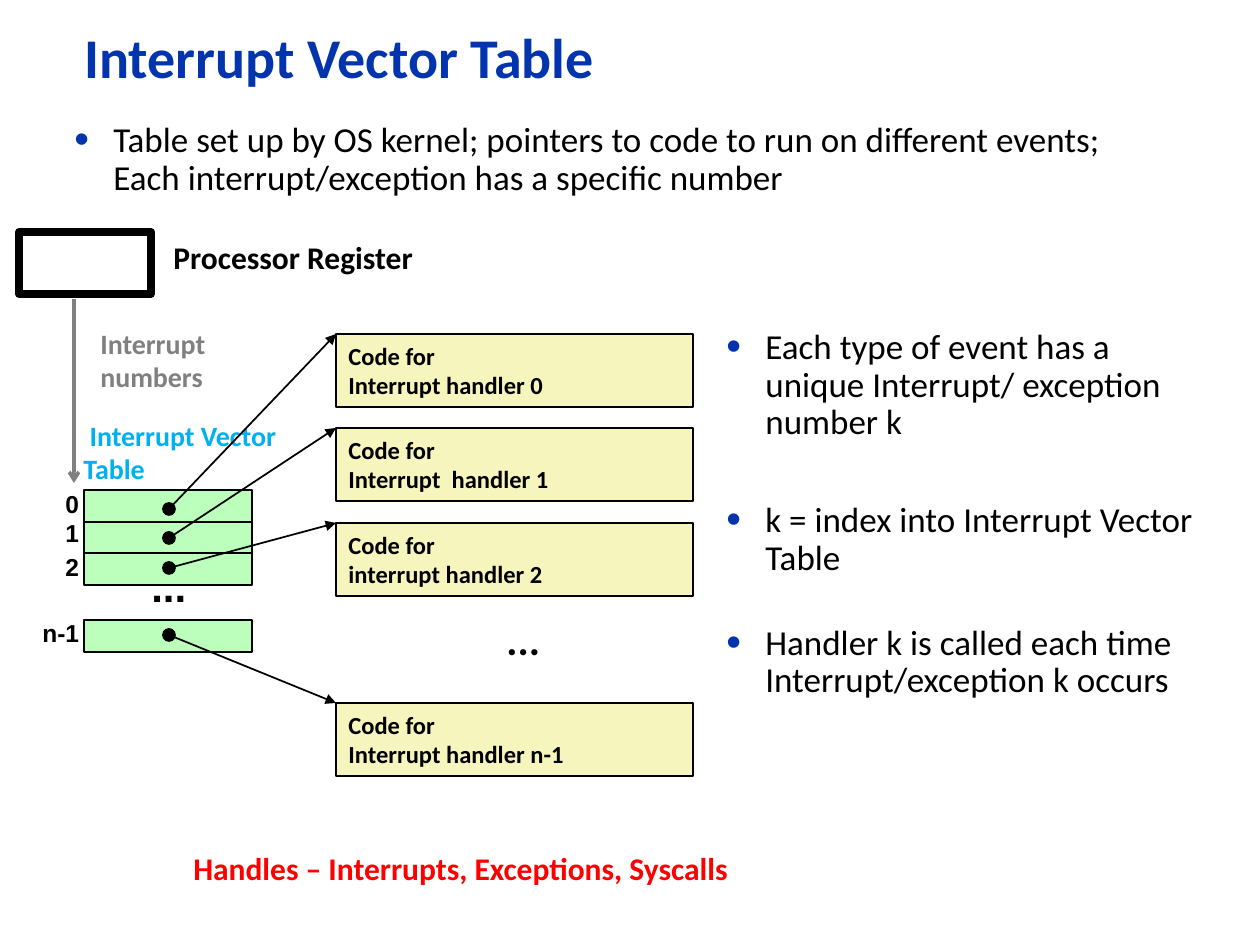
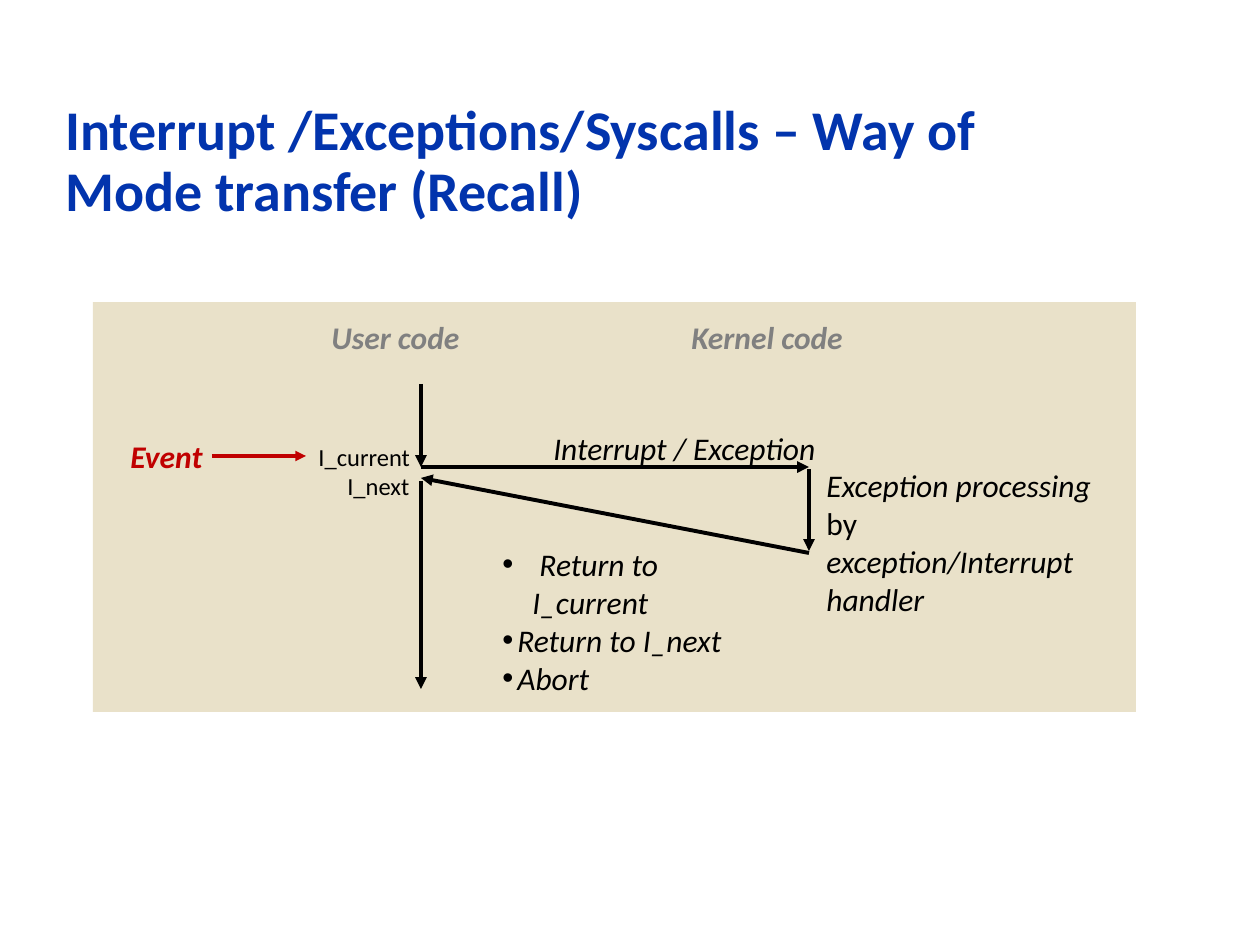
from dataclasses import dataclass

from lxml import etree
from pptx import Presentation
from pptx import util as u
from pptx.dml.color import RGBColor
from pptx.enum import shapes, text
from pptx.oxml.ns import qn

EMU_PER_PIXEL = 914400 / 126


@dataclass(frozen=True)
class Theme:
    """Colours, fonts and type sizes that the slides share."""
    title_blue: str = "0234AD"
    ink: str = "000000"
    paper: str = "FFFFFF"
    grey: str = "808080"
    sky: str = "00B0F0"
    red: str = "FF0000"
    event_red: str = "C00000"
    entry_green: str = "BCFFBC"
    handler_yellow: str = "F6F5BD"
    panel_sand: str = "E9E1C9"
    font: str = "Calibri"
    index_font: str = "Arial"
    title: int = 32
    dots: int = 24
    body: int = 20
    label: int = 18
    note: int = 16
    small: int = 14


THEME = Theme()


def px(length):
    """Turn pixels into EMU."""
    return u.Emu(round(length * EMU_PER_PIXEL))


def rgb(code):
    """Turn a hex code into a colour."""
    return RGBColor.from_string(code)


def add_bullet(paragraph, hang, color=None, percent=None):
    """Give a paragraph a round bullet and a hanging indent in pixels."""
    props = paragraph._p.get_or_add_pPr()
    props.set("marL", str(px(hang)))
    props.set("indent", str(-px(hang)))
    if color:
        holder = etree.SubElement(props, qn("a:buClr"))
        etree.SubElement(holder, qn("a:srgbClr"), val=color)
    if percent:
        etree.SubElement(props, qn("a:buSzPct"), val=str(percent * 1000))
    etree.SubElement(props, qn("a:buFont"), typeface="Arial")
    etree.SubElement(props, qn("a:buChar"), char="\u2022")


def write(frame, lines, size=THEME.label, color=THEME.ink, font=THEME.font,
          bold=False, italic=False, spacing=None, anchor="TOP", wrap=True):
    """Fill a frame: one paragraph a line, (text, italic) pairs for mixed runs."""
    frame.word_wrap = wrap
    frame.auto_size = (text.MSO_AUTO_SIZE.NONE if wrap
                       else text.MSO_AUTO_SIZE.SHAPE_TO_FIT_TEXT)
    frame.vertical_anchor = getattr(text.MSO_ANCHOR, anchor)
    for number, line in enumerate(lines):
        paragraph = frame.add_paragraph() if number else frame.paragraphs[0]
        paragraph.alignment = text.PP_ALIGN.LEFT
        if spacing:
            paragraph.line_spacing = spacing
        pieces = [(line, italic)] if isinstance(line, str) else line
        for words, slanted in pieces:
            for part, chunk in enumerate(words.split("\n")):
                if part:
                    paragraph.add_line_break()
                run = paragraph.add_run()
                run.text = chunk
                run.font.size = u.Pt(size)
                run.font.name = font
                run.font.bold = bold
                run.font.italic = slanted
                run.font.color.rgb = rgb(color)
    return frame.paragraphs


class Deck:
    """Holds the style and the slide being drawn."""

    def __init__(self, theme):
        """Start a 4:3 presentation."""
        self.theme = theme
        self.show = Presentation()
        self.show.slide_width, self.show.slide_height = px(1260), px(945)
        self.slide = None

    def new_slide(self):
        """Begin a blank slide."""
        self.slide = self.show.slides.add_slide(self.show.slide_layouts[6])
        self.slide.background.fill.solid()
        self.slide.background.fill.fore_color.rgb = rgb(self.theme.paper)

    def label(self, box, *lines, wrap=False, **style):
        """Add a text box and return its paragraphs."""
        frame = self.slide.shapes.add_textbox(*map(px, box)).text_frame
        return write(frame, lines, wrap=wrap, **style)

    def title(self, box, words, anchor="TOP"):
        """Add the slide title."""
        self.label(box, words, wrap=True, size=self.theme.title, bold=True,
                   color=self.theme.title_blue, spacing=0.9, anchor=anchor)

    def points(self, box, *lines, gaps=()):
        """Add body bullets; gaps are the points above the second one onward."""
        paragraphs = self.label(box, *lines, wrap=True, size=self.theme.body,
                                spacing=0.9)
        for paragraph, gap in zip(paragraphs[1:], gaps):
            paragraph.space_before = u.Pt(gap)
        for paragraph in paragraphs:
            add_bullet(paragraph, 39, self.theme.title_blue, 120)

    def block(self, box, fill, line=1, kind="RECTANGLE"):
        """Add a filled shape, outlined in ink unless line is 0."""
        shape = self.slide.shapes.add_shape(
            getattr(shapes.MSO_SHAPE, kind), *map(px, box))
        shape.shadow.inherit = False
        shape.fill.solid()
        shape.fill.fore_color.rgb = rgb(fill)
        if line:
            shape.line.color.rgb = rgb(self.theme.ink)
            shape.line.width = u.Pt(line)
        else:
            shape.line.fill.background()
        return shape

    def arrow(self, start, end, width=1, color=THEME.ink, head="triangle"):
        """Add a straight line with an arrowhead at its end."""
        line = self.slide.shapes.add_connector(
            shapes.MSO_CONNECTOR.STRAIGHT, *map(px, start + end))
        line.line.color.rgb = rgb(color)
        line.line.width = u.Pt(width)
        etree.SubElement(line.line._get_or_add_ln(), qn("a:tailEnd"), type=head)
        etree.SubElement(line._element.spPr, qn("a:effectLst"))


def vector_table(deck):
    """Draw the table of pointers and the handlers they lead to."""
    theme = deck.theme
    deck.new_slide()
    # index, label top, label width, row top, dot top, handler top, handler name
    entries = [
        ("0", 483, 39, 490, 503, 334, "Interrupt handler 0"),
        ("1", 512, 39, 522, 532, 428, "Interrupt  handler 1"),
        ("2", 546, 39, 553, 562, 523, "interrupt handler 2"),
        ("n-1", 612, 62, 620, 629, 703, "Interrupt handler n-1"),
    ]
    label_right, row_left, dot_left, dot_size = 92, 84, 163, 12
    handler_left = 336

    for index, label_top, label_width, row_top, *_ in entries:
        deck.block((row_left, row_top, 168, 32), theme.entry_green)
        deck.label((label_right - label_width, label_top, label_width, 41), index,
                   size=theme.small, font=theme.index_font, bold=True,
                   anchor="MIDDLE")
    for left, top, font in ((139, 554, theme.index_font), (494, 607, theme.font)):
        deck.label((left, top, 60, 63), "...", size=theme.dots, font=font,
                   bold=True, anchor="MIDDLE")

    deck.title((72, 24, 987, 73), "Interrupt Vector Table", anchor="MIDDLE")
    deck.points((714, 323, 525, 444),
                "Each type of event has a \nunique Interrupt/ exception number k",
                "k = index into Interrupt Vector Table",
                "Handler k is called each time \nInterrupt/exception k occurs",
                gaps=(34, 27))
    deck.label((71, 412, 220, 81), " Interrupt Vector", "Table",
               size=theme.note, color=theme.sky, bold=True)

    for *_, dot_top, handler_top, handler in entries:
        deck.block((dot_left, dot_top, dot_size, dot_size), theme.ink, kind="OVAL")
        box = deck.block((handler_left, handler_top, 357, 73),
                         theme.handler_yellow, line=0.75)
        write(box.text_frame, ("Code for", handler), size=theme.small,
              bold=True, anchor="MIDDLE")
        deck.arrow((dot_left + dot_size / 2, dot_top + dot_size / 2),
                   (handler_left, handler_top))

    deck.label((88, 320, 139, 81), "Interrupt", "numbers", size=theme.note,
               color=theme.grey, bold=True)
    deck.arrow((74, 299), (74, 483), width=2, color=theme.grey, head="arrow")
    deck.points((62, 116, 1124, 105),
                "Table set up by OS kernel; pointers to code to run on different "
                "events; Each interrupt/exception has a specific number")
    deck.block((19, 232, 132, 62), theme.paper, line=4.5)
    deck.label((161, 232, 266, 50), "Processor Register", bold=True)
    deck.label((181, 843, 564, 50), "Handles – Interrupts, Exceptions, Syscalls",
               color=theme.red, bold=True)


def mode_transfer(deck):
    """Draw the path from user code to kernel code and back."""
    theme = deck.theme
    deck.new_slide()
    deck.block((93, 302, 1043, 410), theme.panel_sand, line=0)
    deck.title((53, 96, 1024, 233),
               "Interrupt /Exceptions/Syscalls – Way of Mode transfer (Recall)")
    for left, width, mode in ((319, 213, "User code"), (679, 246, "Kernel code")):
        deck.label((left, 312, width, 63), mode, color=theme.grey, bold=True,
                   italic=True)

    user, kernel = 421, 809
    for start, end in (
            ((user, 384), (user, 467)),
            ((user, 467), (kernel, 467)),
            ((kernel, 469), (kernel, 551)),
            ((kernel, 553), (user, 478)),
            ((user, 481), (user, 689))):
        deck.arrow(start, end, width=2.25)

    deck.label((541, 423, 290, 50), "Interrupt / Exception", italic=True)
    deck.label((814, 460, 296, 203), "Exception processing",
               (("by ", False), ("exception/Interrupt handler", True)),
               wrap=True, italic=True)
    outcomes = deck.label((490, 539, 289, 165), " Return to I_current",
                          "Return to I_next", "Abort", wrap=True, italic=True)
    for outcome, hang in zip(outcomes, (30, 15, 15)):
        add_bullet(outcome, hang)

    deck.label((118, 431, 111, 50), "Event", wrap=True, color=theme.event_red,
               bold=True, italic=True)
    deck.label((306, 436, 120, 43), "I_current", size=theme.small)
    deck.label((335, 465, 89, 43), "I_next", size=theme.small)
    deck.arrow((212, 456), (306, 456), width=2, color=theme.event_red)


deck = Deck(THEME)
vector_table(deck)
mode_transfer(deck)
deck.show.save("out.pptx")
